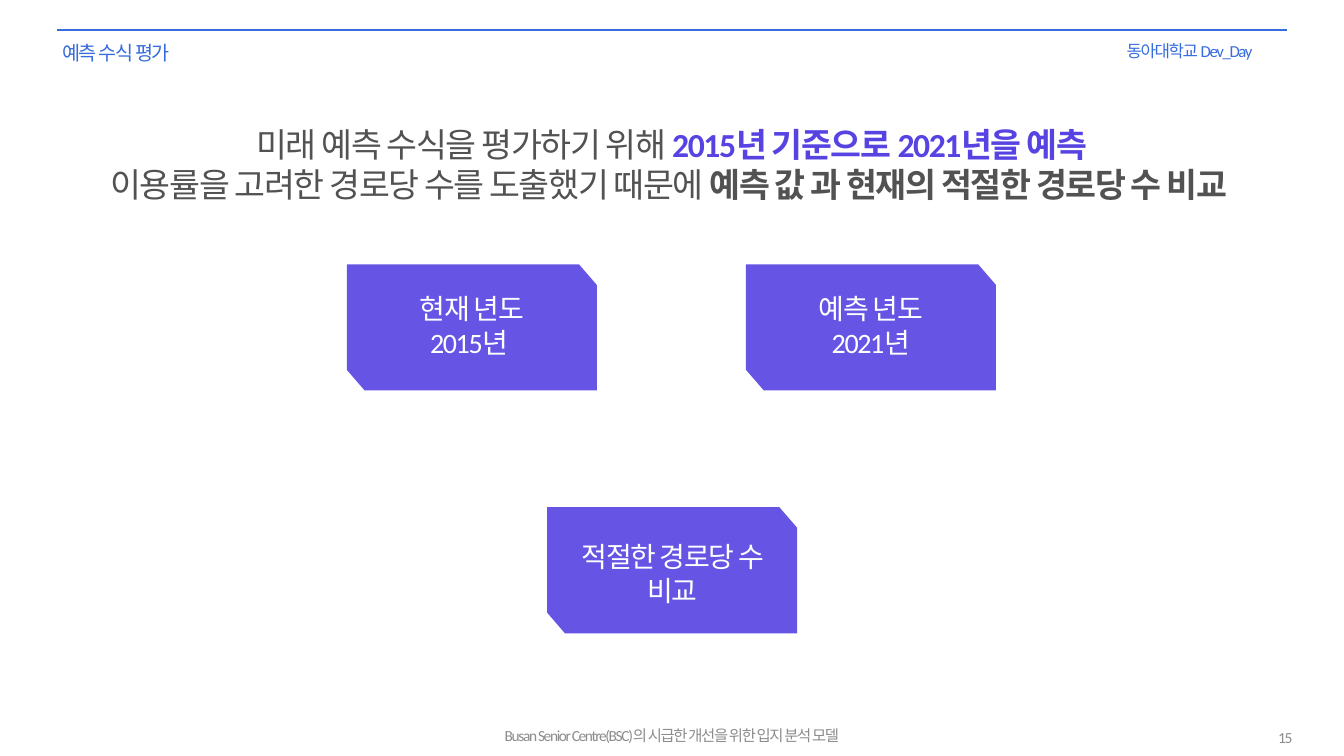
from dataclasses import dataclass

from lxml.etree import SubElement
from pptx import Presentation
from pptx.dml.color import RGBColor
from pptx.enum.shapes import MSO_CONNECTOR
from pptx.enum.text import MSO_AUTO_SIZE, PP_ALIGN
from pptx.oxml.ns import qn
from pptx.slide import Slide
from pptx.util import Cm, Pt


@dataclass(frozen=True)
class Theme:
    font: str = "Calibri"
    blue: str = "366CDD"
    violet: str = "5643E2"
    dark: str = "525252"
    gray: str = "8C8C8C"
    white: str = "FFFFFF"
    footer_size: int = 11
    note_size: int = 12
    title_size: int = 14
    card_size: int = 20
    headline_size: int = 24
    tracking: int = -100
    card_opacity: int = 90000


THEME = Theme()
CARD_WIDTH, CARD_HEIGHT = 6.3, 3.18
CUT_WIDTH, CUT_HEIGHT = 0.45, 0.52


@dataclass(frozen=True)
class Span:
    text: str
    color: str
    bold: bool = False


@dataclass(frozen=True)
class Label:
    left: float
    top: float
    width: float
    height: float
    size: int
    lines: list[list[Span]]
    align: PP_ALIGN = PP_ALIGN.LEFT
    inset: bool = True


@dataclass(frozen=True)
class Card:
    left: float
    top: float
    lines: list[str]
    text_left: float
    text_top: float


LABELS = [
    Label(1.32, 0.91, 9.25, 0.86, THEME.title_size, [[Span("예측 수식 평가", THEME.blue)]]),
    Label(28.14, 0.89, 4.67, 0.76, THEME.note_size, [[Span("동아대학교 Dev_Day", THEME.blue)]]),
    Label(11.51, 18.31, 10.85, 0.48, THEME.footer_size,
          [[Span("Busan Senior Centre(BSC)의 시급한 개선을 위한 입지 분석 모델", THEME.gray)]],
          PP_ALIGN.CENTER, inset=False),
    Label(24.77, 18.34, 7.8, 0.48, THEME.footer_size, [[Span("15", THEME.gray)]],
          PP_ALIGN.RIGHT, inset=False),
    Label(0.84, 3, 32.18, 2.31, THEME.headline_size, [
        [Span("미래 예측 수식을 평가하기 위해 ", THEME.dark),
         Span("2015년 기준으로 2021년을 예측", THEME.violet, bold=True)],
        [Span("이용률을 고려한 경로당 수를 도출했기 때문에 ", THEME.dark),
         Span("예측 값 과 현재의 적절한 경로당 수 비교 ", THEME.dark, bold=True)],
    ], PP_ALIGN.CENTER),
]

CARDS = [
    Card(8.74, 6.66, ["현재 년도", "2015년 "], 0.58, 0.56),
    Card(18.8, 6.66, ["예측 년도", "2021년"], 0.58, 0.56),
    Card(13.79, 12.78, ["적절한 경로당 수 비교"], 0.28, 0.69),
]


def draw_label(page: Slide, label: Label) -> None:
    box = page.shapes.add_textbox(
        Cm(label.left), Cm(label.top), Cm(label.width), Cm(label.height))
    frame = box.text_frame
    frame.word_wrap = True
    frame.auto_size = MSO_AUTO_SIZE.SHAPE_TO_FIT_TEXT
    if not label.inset:
        frame.margin_left = frame.margin_right = 0
        frame.margin_top = frame.margin_bottom = 0
    for index, line in enumerate(label.lines):
        para = frame.add_paragraph() if index else frame.paragraphs[0]
        para.alignment = label.align
        for span in line:
            run = para.add_run()
            run.text = span.text
            run.font.name = THEME.font
            run.font.size = Pt(label.size)
            run.font.bold = span.bold
            run.font.color.rgb = RGBColor.from_string(span.color)
            run.font._element.set("spc", str(THEME.tracking))


def draw_card(page: Slide, card: Card) -> None:
    right, bottom = card.left + CARD_WIDTH, card.top + CARD_HEIGHT
    corners = [
        (card.left, card.top),
        (card.left, bottom - CUT_HEIGHT),
        (card.left + CUT_WIDTH, bottom),
        (right, bottom),
        (right, card.top + CUT_HEIGHT),
    ]
    builder = page.shapes.build_freeform(Cm(right - CUT_WIDTH), Cm(card.top))
    builder.add_line_segments([(Cm(x), Cm(y)) for x, y in corners], close=True)
    shape = builder.convert_to_shape()
    shape.shadow.inherit = False
    shape.line.fill.background()
    shape.fill.solid()
    shape.fill.fore_color.rgb = RGBColor.from_string(THEME.violet)
    color = shape._element.spPr.find(qn("a:solidFill")).find(qn("a:srgbClr"))
    SubElement(color, qn("a:alpha")).set("val", str(THEME.card_opacity))
    draw_label(page, Label(
        card.left + card.text_left, card.top + card.text_top,
        CARD_WIDTH - 2 * card.text_left, 1.96, THEME.card_size,
        [[Span(text, THEME.white)] for text in card.lines], PP_ALIGN.CENTER))


def draw_rule(page: Slide) -> None:
    rule = page.shapes.add_connector(
        MSO_CONNECTOR.STRAIGHT, Cm(1.43), Cm(0.76), Cm(32.44), Cm(0.76))
    rule.line.color.rgb = RGBColor.from_string(THEME.blue)
    rule.line.width = Pt(1.5)
    SubElement(rule._element.spPr, qn("a:effectLst"))


def main() -> None:
    deck = Presentation()
    deck.slide_width, deck.slide_height = Cm(33.87), Cm(19.05)
    page = deck.slides.add_slide(deck.slide_layouts[6])
    draw_rule(page)
    for label in LABELS:
        draw_label(page, label)
    for card in CARDS:
        draw_card(page, card)
    deck.save("out.pptx")


if __name__ == "__main__":
    main()
